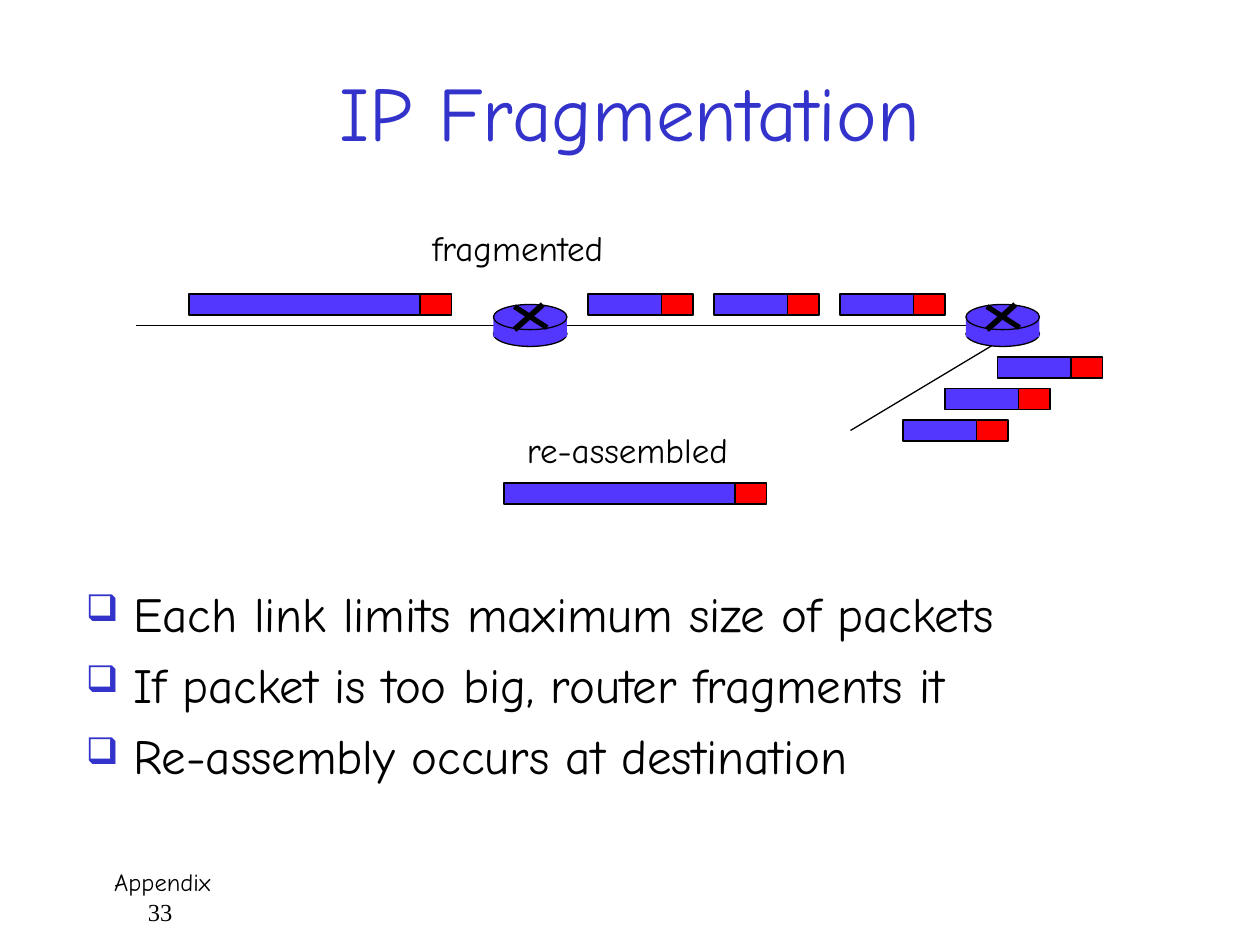
from pptx import Presentation
from pptx.dml.color import RGBColor
from pptx.enum.shapes import MSO_CONNECTOR, MSO_SHAPE
from pptx.enum.text import MSO_ANCHOR, MSO_AUTO_SIZE, PP_ALIGN
from pptx.oxml.ns import qn
from pptx.util import Emu, Pt
from lxml.etree import SubElement

PX = 914400 // 120  # 120 px to the inch
BLACK, TITLE_BLUE, DATA_BLUE, HEADER_RED = "000000", "3333CC", "5437FF", "FF0000"
FONT, NUMBER_FONT = "Comic Neue", "Times New Roman"


def px(*lengths):
    return [Emu(n * PX) for n in lengths]


def rgb(value):
    return RGBColor.from_string(value)


class SlideBuilder:
    """Holds the slide and draws each kind of element on it."""

    def __init__(self, s):
        self.s = s

    def text_box(self, x, y, w, h, wrap=True, anchor=MSO_ANCHOR.TOP):
        tf = self.s.shapes.add_textbox(*px(x, y, w, h)).text_frame
        tf.word_wrap = wrap
        tf.auto_size = MSO_AUTO_SIZE.NONE if wrap else MSO_AUTO_SIZE.SHAPE_TO_FIT_TEXT
        tf.vertical_anchor = anchor
        return tf

    def paragraph(self, tf, text, size, color=BLACK, font=FONT, left=0, hanging=0,
                  align=PP_ALIGN.LEFT, bullet=None, before=0):
        first = not tf.paragraphs[0].runs
        p = tf.paragraphs[0] if first else tf.add_paragraph()
        pPr = p._p.get_or_add_pPr()
        pPr.set("marL", str(left * PX))
        pPr.set("indent", str(-hanging * PX))
        if bullet:
            SubElement(SubElement(pPr, qn("a:buClr")), qn("a:srgbClr"), val=TITLE_BLUE)
            SubElement(pPr, qn("a:buSzPct"), val="75000")
            SubElement(pPr, qn("a:buChar"), char=bullet)
        p.alignment = align
        if before and not first:
            p.space_before = Pt(before)
        r = p.add_run()
        r.text = text
        r.font.size, r.font.name = Pt(size), font
        r.font.color.rgb = rgb(color)

    def line(self, x1, y1, x2, y2, width=0.75, shapes=None):
        shapes = shapes or self.s.shapes
        cn = shapes.add_connector(MSO_CONNECTOR.STRAIGHT, *px(x1, y1, x2, y2))
        cn.line.color.rgb = rgb(BLACK)
        cn.line.width = Pt(width)
        SubElement(cn._element.spPr, qn("a:effectLst"))

    def shape(self, shapes, kind, x, y, w, h, fill, outlined=True):
        sp = shapes.add_shape(kind, *px(x, y, w, h))
        sp.shadow.inherit = False
        sp.fill.solid()
        sp.fill.fore_color.rgb = rgb(fill)
        if outlined:
            sp.line.color.rgb = rgb(BLACK)
            sp.line.width = Pt(0.75)
        else:
            sp.line.fill.background()

    def packet(self, x, y, data_width):
        """Blue data followed by a red header."""
        shapes = self.s.shapes.add_group_shape().shapes
        self.shape(shapes, MSO_SHAPE.RECTANGLE, x + data_width, y, 30, 20, HEADER_RED)
        self.shape(shapes, MSO_SHAPE.RECTANGLE, x, y, data_width, 20, DATA_BLUE)

    def router(self, x, y):
        shapes = self.s.shapes.add_group_shape().shapes
        self.shape(shapes, MSO_SHAPE.OVAL, x, y + 16, 70, 24, DATA_BLUE)
        self.shape(shapes, MSO_SHAPE.RECTANGLE, x, y + 10, 70, 21, DATA_BLUE, False)
        self.shape(shapes, MSO_SHAPE.OVAL, x, y, 70, 24, DATA_BLUE)
        self.line(x + 20, y + 2, x + 51, y + 22, 3, shapes)
        self.line(x + 47, y, x + 20, y + 24, 3.25, shapes)


def main():
    prs = Presentation()
    prs.slide_width, prs.slide_height = px(1200, 900)
    b = SlideBuilder(prs.slides.add_slide(prs.slide_layouts[6]))

    footer = b.text_box(90, 820, 1030, 60)
    b.paragraph(footer, "Appendix", 14, left=7)
    b.paragraph(footer, "33", 14, font=NUMBER_FONT, left=39)

    title = b.text_box(90, 30, 1020, 150, anchor=MSO_ANCHOR.MIDDLE)
    b.paragraph(title, "IP Fragmentation", 44, TITLE_BLUE, align=PP_ALIGN.CENTER)

    body = b.text_box(70, 550, 1030, 260)
    for text in ("Each link limits maximum size of packets",
                 "If packet is too big, router fragments it",
                 "Re-assembly occurs at destination"):
        b.paragraph(body, text, 28, left=45, hanging=45, bullet="❑", before=7)

    b.line(540, 310, 950, 310, 1)
    b.line(130, 310, 480, 310)
    b.line(960, 320, 810, 410)

    whole, fragment = 220, 70
    for x, y in ((180, 280), (480, 460)):
        b.packet(x, y, whole)
    for x, y in ((560, 280), (680, 280), (800, 280), (950, 340), (900, 370), (860, 400)):
        b.packet(x, y, fragment)

    for text, x, y, w in (("re-assembled", 490, 402, 233), ("fragmented", 400, 210, 208)):
        b.paragraph(b.text_box(x, y, w, 59, wrap=False), text, 20)

    for x in (470, 920):
        b.router(x, 290)

    prs.save("out.pptx")


if __name__ == "__main__":
    main()
